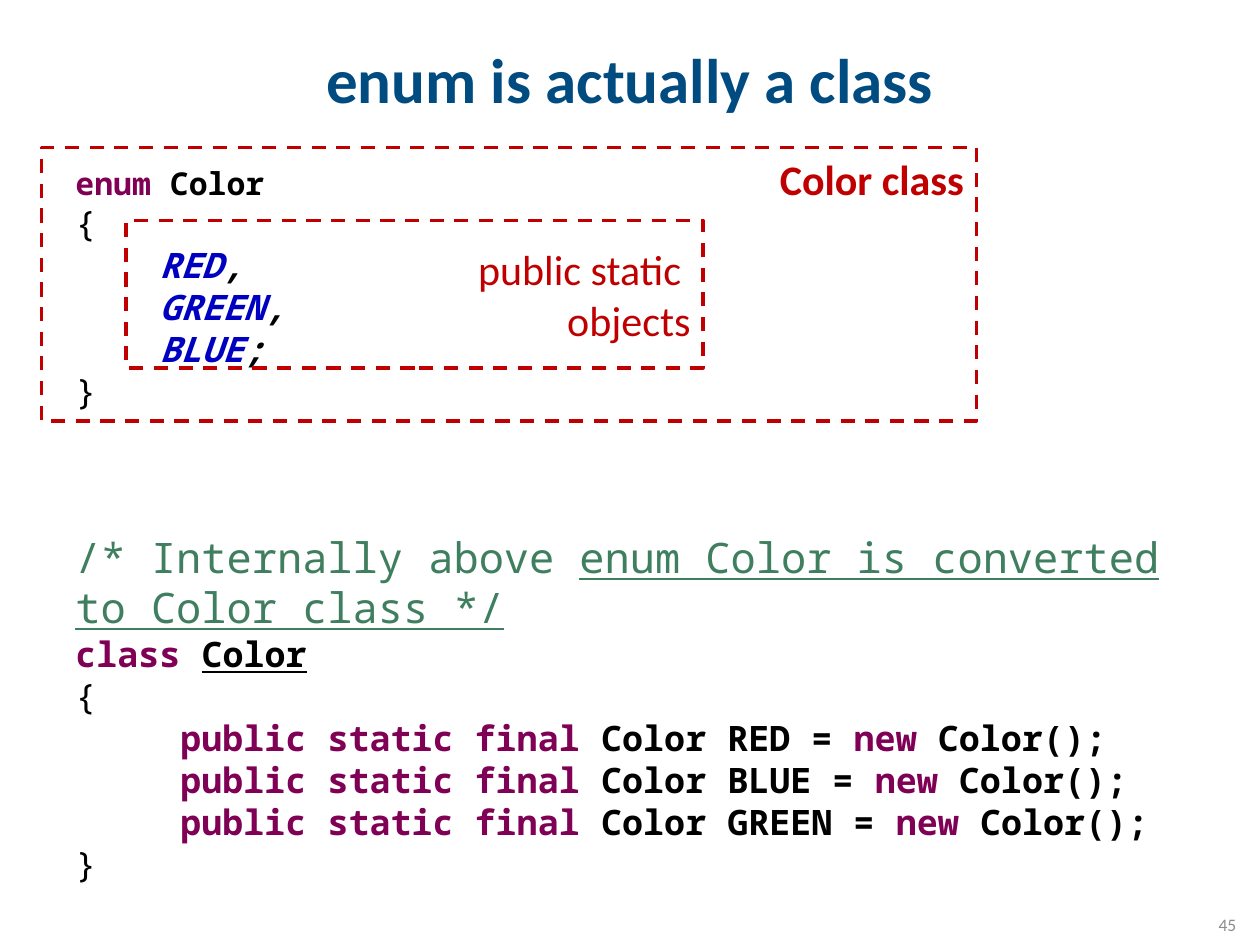
from pptx import Presentation
from pptx.dml.color import RGBColor
from pptx.enum.dml import MSO_LINE
from pptx.enum.shapes import MSO_SHAPE
from pptx.enum.text import MSO_ANCHOR, PP_ALIGN
from pptx.util import Inches, Pt

RECT = MSO_SHAPE.RECTANGLE
DASH = MSO_LINE.DASH
TOP, MIDDLE = MSO_ANCHOR.TOP, MSO_ANCHOR.MIDDLE
CENTER, RIGHT = PP_ALIGN.CENTER, PP_ALIGN.RIGHT

SANS, MONO = "Calibri", "Noto Sans Mono"
BLACK, WHITE, RED = "000000", "FFFFFF", "C00000"
NAVY, GRAY = "004C80", "8C8C8C"
KEYWORD, FIELD, COMMENT = "7F0055", "0000C0", "3F7F5F"
CHAR = 1 / 6  # width in inches of one 20 pt code character


def rgb(color):
    return RGBColor.from_string(color)


def place(shape, left, top, width, height):
    shape.left, shape.top = Inches(left), Inches(top)
    shape.width, shape.height = Inches(width), Inches(height)


def write(shape, text, size, color, align, anchor=MIDDLE, bold=False):
    """Fill a shape with one paragraph in a single style."""
    frame = shape.text_frame
    frame.word_wrap = True
    frame.vertical_anchor = anchor
    para = frame.paragraphs[0]
    para.text = text
    para.alignment = align
    font = para.font
    font.name, font.size, font.bold = SANS, Pt(size), bold
    font.color.rgb = rgb(color)


def add_title(slide, text):
    title = slide.shapes.title
    place(title, 0.5, 0, 9, 1.25)
    title.fill.solid()
    title.fill.fore_color.rgb = rgb(WHITE)
    write(title, text, 36, NAVY, CENTER, bold=True)


def add_box(slide, *area):
    return slide.shapes.add_textbox(*map(Inches, area))


def add_frame(slide, area, text, **style):
    """Draw a dashed outline with a label at its right."""
    frame = slide.shapes.add_shape(RECT, *map(Inches, area))
    frame.shadow.inherit = False
    frame.fill.background()
    frame.line.color.rgb = rgb(RED)
    frame.line.width = Pt(2)
    frame.line.dash_style = DASH
    write(frame, text, 24, RED, RIGHT, **style)


def add_code(slide, area, lines):
    """Write code lines, each given as (size, indent in characters, runs)."""
    frame = add_box(slide, *area).text_frame
    frame.word_wrap = True
    for i, (size, indent, runs) in enumerate(lines):
        para = frame.add_paragraph() if i else frame.paragraphs[0]
        para.font.name, para.font.size = MONO, Pt(size)
        if indent:
            props = para._p.get_or_add_pPr()
            props.set("marL", str(Inches(indent * CHAR)))
            props.set("indent", "0")
        for text, color, marks in runs:
            run = para.add_run()
            run.text = text
            run.font.color.rgb = rgb(color)
            run.font.bold = "b" in marks
            run.font.italic = "i" in marks
            run.font.underline = "u" in marks


def brace(mark):
    return 20, 0, [(mark, BLACK, "")]


def value(name, end):
    return 20, 4, [(name, FIELD, "bi"), (end, BLACK, "bi")]


def constant(name):
    return 20, 5, [
        ("public static final", KEYWORD, "b"),
        (f" Color {name} = ", BLACK, "b"),
        ("new", KEYWORD, "b"),
        (" Color();", BLACK, "b"),
    ]


def main():
    deck = Presentation()
    deck.slide_width, deck.slide_height = Inches(10), Inches(7.5)
    slide = deck.slides.add_slide(deck.slide_layouts[5])
    add_title(slide, "enum is actually a class")
    number = add_box(slide, 8.83, 7.17, 1.08, 0.33)
    write(number, "45", 10, GRAY, RIGHT)

    add_code(slide, (0.5, 1.25, 8.67, 2.15), [
        (18, 0, [("enum", KEYWORD, "b"), (" Color", BLACK, "b")]),
        brace("{"),
        value("RED", ","),
        value("GREEN", ","),
        value("BLUE", ";"),
        brace("}"),
    ])
    add_frame(slide, (1, 1.75, 4.58, 1.17), "public static \nobjects")
    add_frame(slide, (0.33, 1.17, 7.42, 2.17), "Color class",
              anchor=TOP, bold=True)

    add_code(slide, (0.5, 4.17, 9.08, 2.9), [
        (24, 0, [("/* Internally above ", COMMENT, ""),
                 ("enum Color is converted to Color class */", COMMENT, "u")]),
        (20, 0, [("class ", KEYWORD, "b"), ("Color", BLACK, "bu")]),
        brace("{"),
        *map(constant, ("RED", "BLUE", "GREEN")),
        brace("}"),
    ])
    deck.save("out.pptx")


if __name__ == "__main__":
    main()
